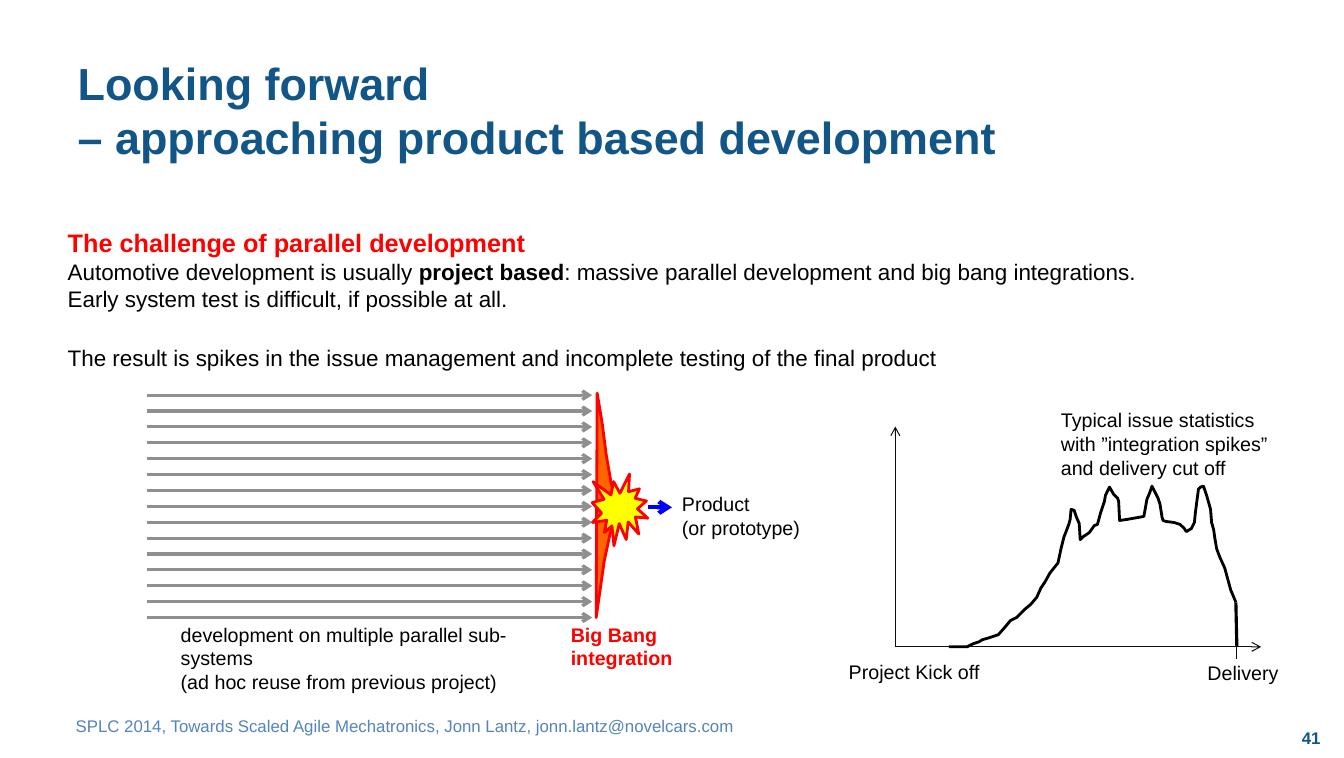
from lxml.etree import SubElement
from pptx import Presentation
from pptx.dml.color import RGBColor
from pptx.enum.shapes import MSO_CONNECTOR, MSO_SHAPE
from pptx.enum.text import MSO_ANCHOR, PP_ALIGN
from pptx.oxml.ns import qn
from pptx.util import Inches, Pt

NAVY = RGBColor(0x12, 0x56, 0x87)
BLUE_GRAY = RGBColor(0x53, 0x84, 0xBE)
RED = RGBColor(0xFF, 0x00, 0x00)
ORANGE = RGBColor(0xFF, 0x66, 0x00)
YELLOW = RGBColor(0xFF, 0xFF, 0x00)
BLUE = RGBColor(0x00, 0x00, 0xFF)
GRAY = RGBColor(0x8F, 0x8F, 0x8F)
AXIS = RGBColor(0x0D, 0x0D, 0x0D)
BLACK = RGBColor(0x00, 0x00, 0x00)
FONT = "Arial"

BANG = [
    (5.9, 6.11), (5.91, 3.89), (5.96, 4.19), (6, 4.5), (6.05, 4.79),
    (6.13, 5.03), (6.04, 5.27), (5.98, 5.55), (5.94, 5.83),
]
ISSUES = [
    (9.39, 6.4), (9.57, 6.4), (9.63, 6.37), (9.69, 6.35), (9.72, 6.33),
    (9.79, 6.31), (9.88, 6.28), (9.95, 6.2), (10, 6.14), (10.06, 6.11),
    (10.14, 6.03), (10.2, 5.98), (10.26, 5.91), (10.3, 5.82), (10.34, 5.76),
    (10.39, 5.67), (10.47, 5.57), (10.5, 5.43), (10.53, 5.31), (10.55, 5.26),
    (10.58, 5.18), (10.59, 5.14), (10.6, 5.04), (10.63, 5.05), (10.65, 5.11),
    (10.68, 5.18), (10.69, 5.34), (10.72, 5.31), (10.78, 5.27), (10.83, 5.2),
    (10.86, 5.19), (10.89, 5.08), (10.93, 4.96), (10.94, 4.9), (10.98, 4.82),
    (11.02, 4.89), (11.06, 4.93), (11.07, 4.96), (11.08, 5.15), (11.15, 5.14),
    (11.32, 5.11), (11.35, 4.94), (11.38, 4.87), (11.4, 4.81), (11.46, 4.93),
    (11.48, 4.99), (11.5, 5.12), (11.51, 5.15), (11.54, 5.16), (11.62, 5.17),
    (11.68, 5.19), (11.72, 5.23), (11.74, 5.26), (11.79, 5.23), (11.82, 5.17),
    (11.83, 5.07), (11.86, 4.84), (11.88, 4.82), (11.91, 4.81), (11.94, 4.9),
    (11.98, 5.04), (11.99, 5.17), (12.01, 5.24), (12.02, 5.31), (12.04, 5.43),
    (12.07, 5.51), (12.12, 5.62), (12.18, 5.84), (12.21, 5.91), (12.23, 5.96),
]


def add_run(p, text, size, color, bold=False):
    r = p.add_run()
    r.text = text
    r.font.name = FONT
    r.font.size = Pt(size)
    r.font.bold = bold
    r.font.color.rgb = color


def add_text(s, x, y, w, h, lines, size=14, color=BLACK, bold=False, wrap=True):
    sp = s.shapes.add_textbox(Inches(x), Inches(y), Inches(w), Inches(h))
    tf = sp.text_frame
    tf.word_wrap = wrap
    for i, line in enumerate(lines):
        p = tf.add_paragraph() if i else tf.paragraphs[0]
        add_run(p, line, size, color, bold)
    return tf


def add_line(s, start, end, color, width, arrow=True):
    points = [Inches(v) for v in (*start, *end)]
    c = s.shapes.add_connector(MSO_CONNECTOR.STRAIGHT, *points)
    c.line.color.rgb = color
    c.line.width = Pt(width)
    if arrow:
        SubElement(c.line._get_or_add_ln(), qn("a:tailEnd"), type="arrow")
    SubElement(c._element.spPr, qn("a:effectLst"))


def style_shape(sp, fill, line):
    sp.shadow.inherit = False
    if fill is None:
        sp.fill.background()
    else:
        sp.fill.solid()
        sp.fill.fore_color.rgb = fill
    sp.line.color.rgb = line
    sp.line.width = Pt(2)


def add_outline(s, points, fill, line, close):
    start, *rest = [(Inches(x), Inches(y)) for x, y in points]
    fb = s.shapes.build_freeform(*start)
    fb.add_line_segments(rest, close=close)
    style_shape(fb.convert_to_shape(), fill, line)


def add_challenge(s):
    tf = add_text(s, 0.67, 2.25, 11.25, 1.78,
                  ["The challenge of parallel development"], 18, RED, True)
    tf.margin_left = tf.margin_top = tf.margin_right = tf.margin_bottom = 0
    p = tf.paragraphs[0]
    p.add_line_break()
    add_run(p, "Automotive development is usually ", 16, BLACK)
    add_run(p, "project based", 16, BLACK, True)
    add_run(p, ": massive parallel development and big bang integrations.", 16, BLACK)
    p.add_line_break()
    add_run(p, "Early system test is difficult, if possible at all.", 16, BLACK)
    p = tf.add_paragraph()
    p.space_before = Pt(23)
    add_run(p, "The result is spikes in the issue management and "
               "incomplete testing of the final product", 16, BLACK)


def add_big_bang(s):
    for i in range(15):
        y = 3.91 + i * 2.2 / 14
        add_line(s, (1.45, y), (5.86, y), GRAY, 2.25)
    add_outline(s, BANG, ORANGE, RED, True)
    add_line(s, (6.41, 5.02), (6.65, 5.02), BLUE, 3)
    add_text(s, 1.69, 6.11, 3.7, 0.81,
             ["development on multiple parallel sub-systems",
              "(ad hoc reuse from previous project)"])
    add_text(s, 5.55, 6.11, 1.42, 0.57, ["Big Bang", "integration"],
             color=RED, bold=True)
    add_text(s, 6.65, 4.82, 1.57, 0.57, ["Product", "(or prototype)"])
    seal = s.shapes.add_shape(MSO_SHAPE.EXPLOSION1, Inches(5.86), Inches(4.69),
                              Inches(0.55), Inches(0.71))
    style_shape(seal, YELLOW, RED)


def add_issue_sketch(s):
    origin = (8.86, 6.4)
    add_line(s, origin, (8.86, 4.22), AXIS, 0.75)
    add_line(s, origin, (12.48, 6.4), AXIS, 0.75)
    add_line(s, (12.24, 6.35), (12.24, 6.52), AXIS, 0.75, arrow=False)
    add_text(s, 11.85, 6.49, 0.96, 0.34, ["Delivery"])
    add_line(s, (12.23, 5.96), (12.24, 6.4), BLACK, 2.25, arrow=False)
    add_outline(s, ISSUES, None, BLACK, False)
    add_text(s, 10.4, 3.99, 2.55, 0.81,
             ["Typical issue statistics",
              "with ”integration spikes” and delivery cut off"])
    add_text(s, 8.3, 6.48, 1.65, 0.34, ["Project Kick off"])


def main():
    prs = Presentation()
    prs.slide_width, prs.slide_height = Inches(13.3), Inches(7.5)
    s = prs.slides.add_slide(prs.slide_layouts[6])
    tf = add_text(s, 12.64, 7.09, 0.67, 0.42, ["41"], 12, NAVY, True)
    tf.vertical_anchor = MSO_ANCHOR.MIDDLE
    tf.paragraphs[0].alignment = PP_ALIGN.CENTER
    add_text(s, 0.65, 7.03, 6.76, 0.3,
             ["SPLC 2014, Towards Scaled Agile Mechatronics, Jonn Lantz, "
              "jonn.lantz@novelcars.com"], 12, BLUE_GRAY, wrap=False)
    add_text(s, 0.67, 0.5, 12.18, 1.08,
             ["Looking forward", "– approaching product based development"],
             32, NAVY, True)
    add_challenge(s)
    add_big_bang(s)
    add_issue_sketch(s)
    prs.save("out.pptx")


if __name__ == "__main__":
    main()
